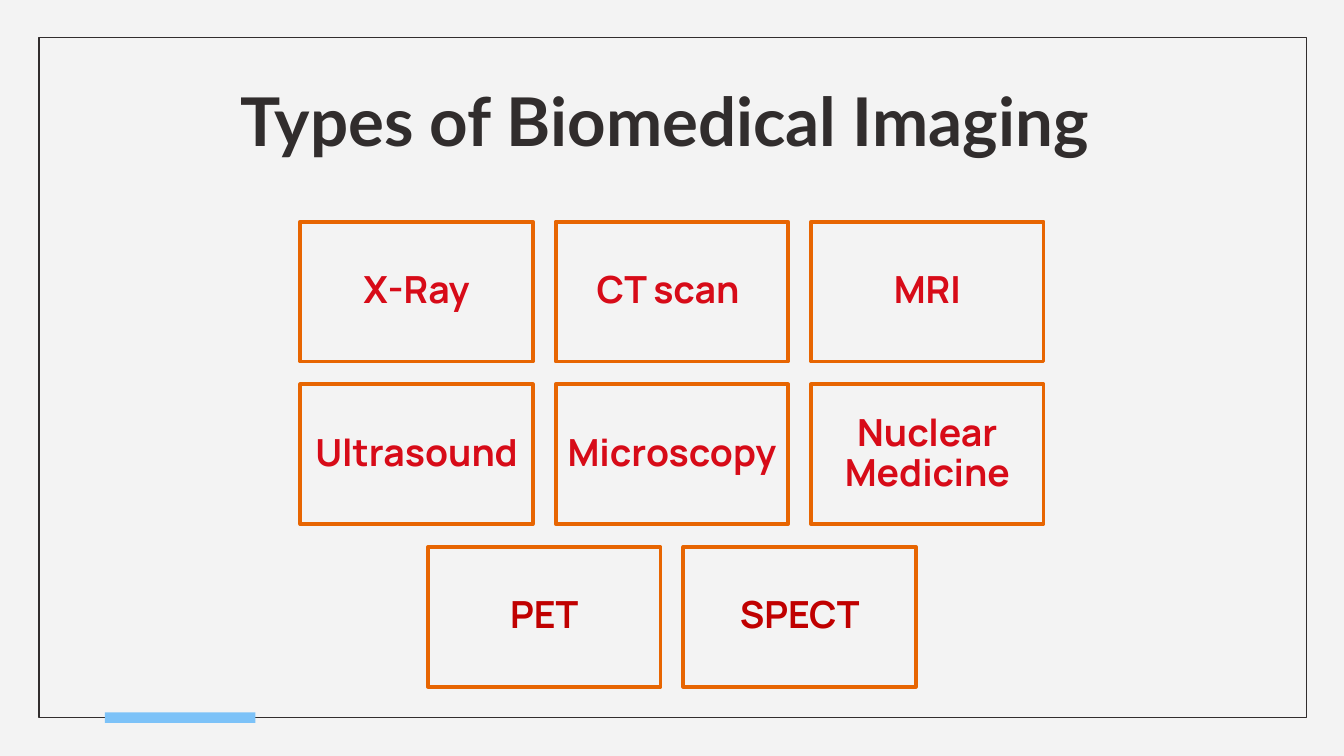
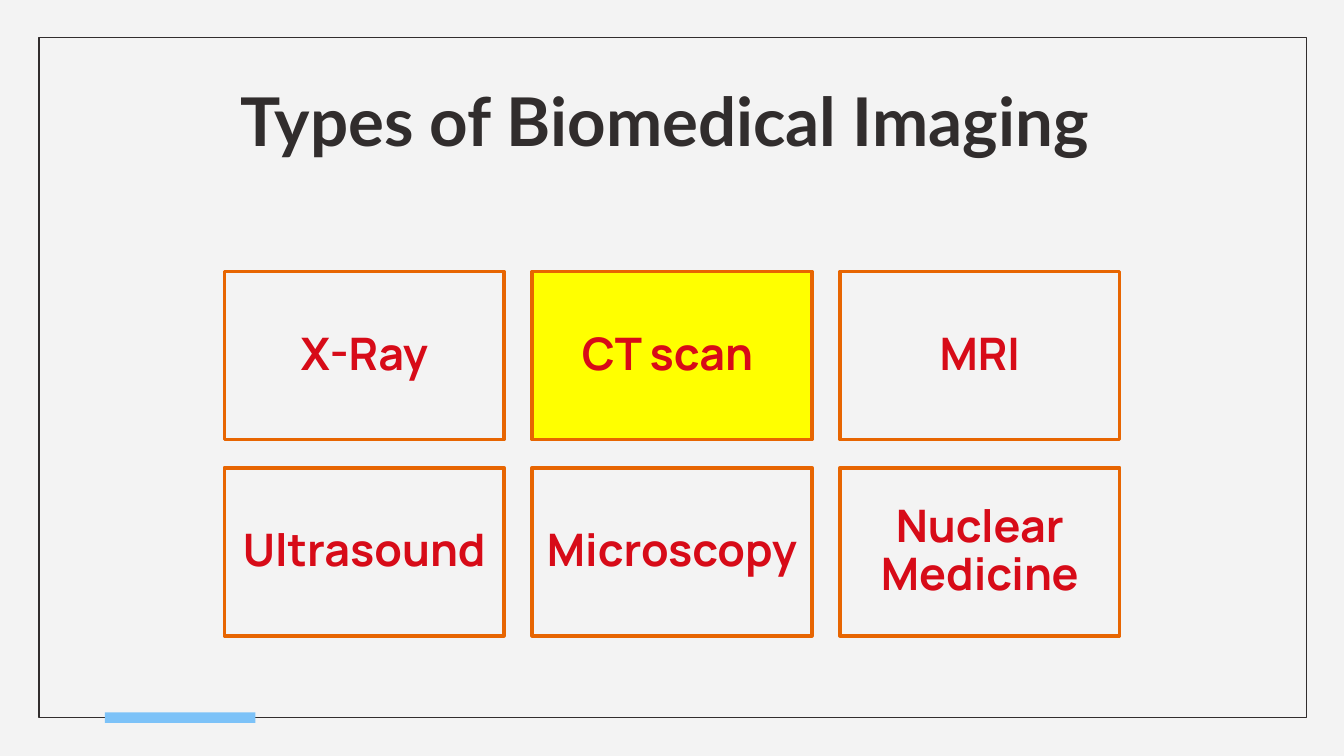
import pptx
import pptx.util
import pptx.dml.color
import pptx.enum.shapes
import pptx.enum.text

Inches = pptx.util.Inches

COLORS = {
    "background": "F3F3F3",
    "ink": "312D2D",
    "accent": "7CC2F8",
    "border": "E76501",
    "label": "D70B18",
    "nuclear_label": "C00000",
    "highlight": "FFFF00",
}
CENTER = 5.0


def rgb(name):
    return pptx.dml.color.RGBColor.from_string(COLORS[name])


def add_box(slide, left, top, width, height, text="", fill=None, line=None, line_width=1,
            font="Manrope", size=20, color="label", inset=0.1, anchor="MIDDLE", spacing=0.9):
    shape = slide.shapes.add_shape(
        pptx.enum.shapes.MSO_SHAPE.RECTANGLE,
        Inches(left), Inches(top), Inches(width), Inches(height))
    shape.shadow.inherit = False
    if fill:
        shape.fill.solid()
        shape.fill.fore_color.rgb = rgb(fill)
    else:
        shape.fill.background()
    if line:
        shape.line.color.rgb = rgb(line)
        shape.line.width = pptx.util.Pt(line_width)
    else:
        shape.line.fill.background()
    if text:
        frame = shape.text_frame
        frame.word_wrap = True
        frame.vertical_anchor = pptx.enum.text.MSO_ANCHOR[anchor]
        frame.margin_left = frame.margin_right = Inches(inset)
        frame.margin_top = frame.margin_bottom = Inches(inset)
        paragraph = frame.paragraphs[0]
        paragraph.alignment = pptx.enum.text.PP_ALIGN.CENTER
        paragraph.line_spacing = spacing
        run = paragraph.add_run()
        run.text = text
        run.font.name = font
        run.font.size = pptx.util.Pt(size)
        run.font.bold = True
        run.font.color.rgb = rgb(color)


common_rows = [
    ["X-Ray", "CT scan ", "MRI"],
    ["Ultrasound", "Microscopy", "Nuclear Medicine"],
]
slides = [
    {"rows": common_rows + [["PET", "SPECT"]], "top": 1.65, "width": 1.73, "height": 1.04,
     "gap": 0.17, "size": 20, "inset": 0.08, "fills": {}},
    {"rows": common_rows, "top": 2.02, "width": 2.08, "height": 1.25,
     "gap": 0.21, "size": 24, "inset": 0.1, "fills": {"X-Ray": None, "CT scan ": "highlight"}},
]
label_colors = {"PET": "nuclear_label", "SPECT": "nuclear_label"}

presentation = pptx.Presentation()
presentation.slide_width = Inches(10)
presentation.slide_height = Inches(10 * 9 / 16)

for grid in slides:
    slide = presentation.slides.add_slide(presentation.slide_layouts[6])
    slide.background.fill.solid()
    slide.background.fill.fore_color.rgb = rgb("background")
    add_box(slide, 0.29, 0.28, 9.43, 5.06, line="ink", line_width=0.75)
    add_box(slide, 0.78, 5.3, 1.12, 0.08, fill="accent")
    add_box(slide, 0.79, 0.49, 8.43, 0.63, "Types of Biomedical Imaging ",
            font="Lato", size=36, color="ink", anchor="TOP", spacing=1.0)

    width, height, gap = grid["width"], grid["height"], grid["gap"]
    for row_index, row in enumerate(grid["rows"]):
        row_width = len(row) * width + (len(row) - 1) * gap
        top = grid["top"] + row_index * (height + gap)
        for column_index, label in enumerate(row):
            left = CENTER - row_width / 2 + column_index * (width + gap)
            add_box(slide, left, top, width, height, label,
                    fill=grid["fills"].get(label, "background"), line="border", line_width=2,
                    size=grid["size"], inset=grid["inset"],
                    color=label_colors.get(label, "label"))

presentation.save("out.pptx")
